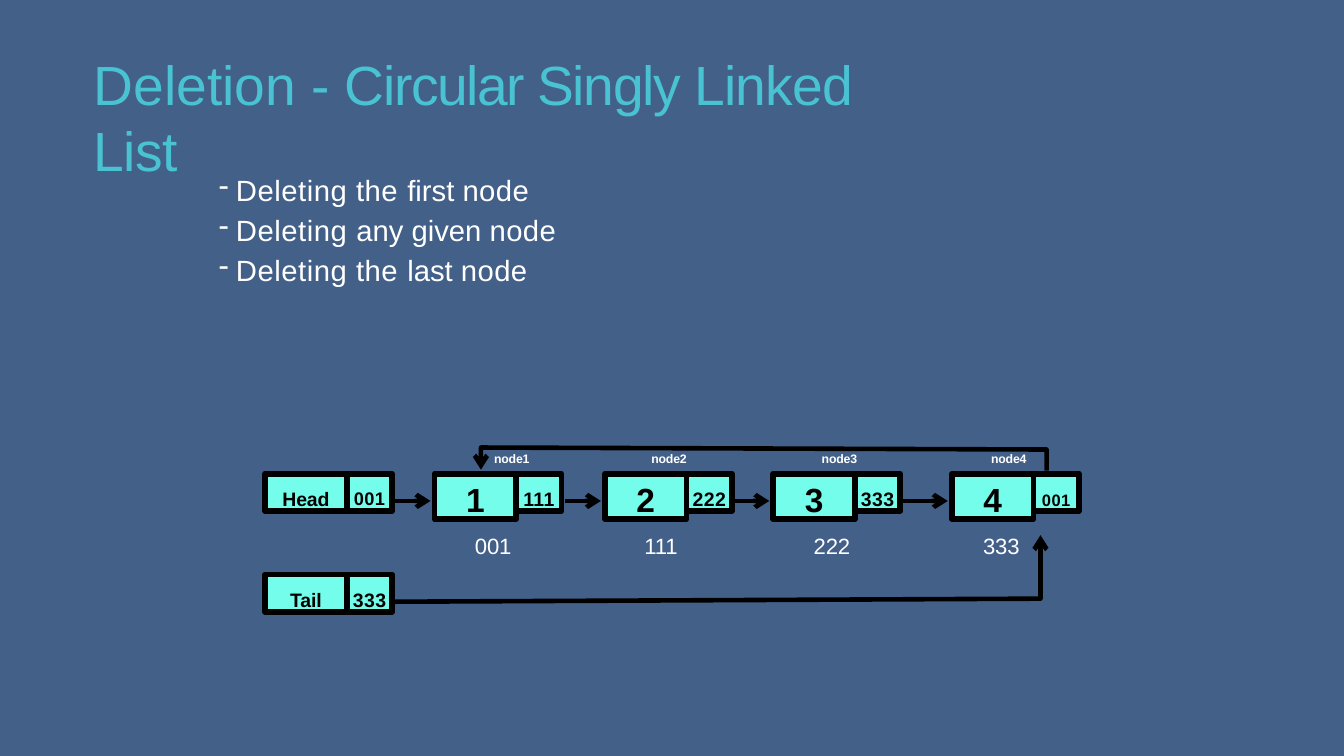
from lxml.etree import SubElement
from pptx import Presentation
from pptx.dml.color import RGBColor
from pptx.enum.shapes import MSO_CONNECTOR, MSO_SHAPE
from pptx.enum.text import MSO_ANCHOR as Anchor, MSO_AUTO_SIZE as AutoSize, PP_ALIGN as Align
from pptx.oxml.ns import qn
from pptx.util import Inches, Pt

BACKGROUND = RGBColor(0x43, 0x60, 0x89)
TITLE = RGBColor(0x49, 0xC3, 0xD2)
CELL = RGBColor(0x73, 0xFD, 0xEA)
BLACK = RGBColor(0, 0, 0)
WHITE = RGBColor(0xFF, 0xFF, 0xFF)

DATA_WIDTH, LINK_WIDTH = 0.81, 0.45
DATA_HEIGHT, LINK_HEIGHT = 0.45, 0.37
ADDRESS_LEFT, ADDRESS_STEP = 0.4, 1.68


def set_frame(frame, top):
    """Give a text frame a top inset only, with wrapped text at the top."""
    frame.margin_left = frame.margin_right = frame.margin_bottom = 0
    frame.margin_top = Inches(top)
    frame.vertical_anchor = Anchor.TOP
    frame.auto_size = AutoSize.NONE
    frame.word_wrap = True


def write(para, spans, size, color, bold=False, align=Align.LEFT):
    """Fill a paragraph with (text, letter spacing in points) spans."""
    para.alignment = align
    font = para.font
    font.name, font.size, font.bold = "Arial", Pt(size), bold
    font.color.rgb = color
    for text, spacing in spans:
        span = para.add_run()
        span.text = text
        span.font._element.set("spc", str(round(spacing * 100)))


def add_text(page, left, top, width, height, inset):
    """Add an empty text box and return its frame."""
    box = page.shapes.add_textbox(*map(Inches, (left, top, width, height)))
    set_frame(box.text_frame, inset)
    return box.text_frame


def add_cell(page, left, top, width, height, text, size, inset, spacing):
    """Add one outlined cell with bold centred text."""
    box = page.shapes.add_shape(MSO_SHAPE.RECTANGLE, *map(Inches, (left, top, width, height)))
    box.shadow.inherit = False
    box.fill.solid()
    box.fill.fore_color.rgb = CELL
    box.line.color.rgb = BLACK
    box.line.width = Pt(4.12)
    set_frame(box.text_frame, inset)
    write(box.text_frame.paragraphs[0], [(text, spacing)], size, BLACK, True, Align.CENTER)


def add_arrow(page, points):
    """Draw an arrow through the points: a connector, or a bent outline."""
    corners = [(Inches(x), Inches(y)) for x, y in points]
    if len(corners) == 2:
        arrow = page.shapes.add_connector(MSO_CONNECTOR.STRAIGHT, *corners[0], *corners[1])
    else:
        builder = page.shapes.build_freeform(*corners[0])
        builder.add_line_segments(corners[1:], close=False)
        arrow = builder.convert_to_shape()
        arrow.fill.background()
    arrow.line.color.rgb = BLACK
    arrow.line.width = Pt(3.3)
    SubElement(arrow.line._get_or_add_ln(), qn("a:tailEnd"), type="arrow")
    SubElement(arrow._element.spPr, qn("a:effectLst"))


def add_title(page, left, top, width, height):
    """Place and write the title."""
    title = page.shapes.title
    title.left, title.top, title.width, title.height = map(Inches, (left, top, width, height))
    set_frame(title.text_frame, 0.01)
    spans = [("Deletion - ", 0), ("Circular Singly ", -1), ("Linked ", -0.6), ("List", -0.3)]
    write(title.text_frame.paragraphs[0], spans, 39.4, TITLE)


def add_cases(page, left, top, width, height):
    """List the three kinds of deletion with dash bullets."""
    frame = add_text(page, left, top, width, height, 0.06)
    cases = [("Deleting the ", "first "), ("Deleting ", "any given "), ("Deleting the ", "last ")]
    for index, (start, which) in enumerate(cases):
        para = frame.paragraphs[0] if index == 0 else frame.add_paragraph()
        para.space_before = Pt(3.4)
        write(para, [(start, 0.4), (which, 0), ("node", 0.3)], 20.9, WHITE)
        properties = para._p.get_or_add_pPr()
        properties.set("marL", str(Inches(0.17)))
        properties.set("indent", str(-Inches(0.17)))
        bullet = properties.makeelement(qn("a:buChar"), char="-")
        properties.find(qn("a:defRPr")).addprevious(bullet)


def add_pointer(page, left, top, name, address, size):
    """Add a head or tail pointer with the address it holds."""
    add_cell(page, left, top, DATA_WIDTH, LINK_HEIGHT, name, 13.9, 0.13, -0.1)
    add_cell(page, left + DATA_WIDTH, top, LINK_WIDTH, LINK_HEIGHT, address, size, 0.13, 0.3)


def add_node(page, left, top, value, link, size, inset):
    """Add a list node: its value and the address of the next node."""
    add_cell(page, left, top, DATA_WIDTH, DATA_HEIGHT, value, 23.9, 0.05, 0.9)
    add_cell(page, left + DATA_WIDTH, top, LINK_WIDTH, LINK_HEIGHT, link, size, inset, 0.3)


def add_list(page, left, top):
    """Draw the circular list with its nodes, labels and arrows."""
    add_pointer(page, left, top, "Head", "001", 13)
    add_pointer(page, left, top + 1, "Tail", "333", 13.9)

    # Offset of node, offset of its name, address, link, link size, link inset
    nodes = [
        (1.68, 2.27, "001", "111", 13.9, 0.13),
        (3.37, 3.83, "111", "222", 13.9, 0.13),
        (5.04, 5.52, "222", "333", 13.9, 0.13),
        (6.81, 7.2, "333", "001", 11.8, 0.16),
    ]
    first = nodes[0][0]
    previous = 0
    for index, (offset, name_offset, address, link, size, inset) in enumerate(nodes):
        add_node(page, left + offset, top, str(index + 1), link, size, inset)
        name = add_text(page, left + name_offset, top - 0.23, 0.45, 0.16, 0.01)
        write(name.paragraphs[0], [(f"node{index + 1}", -0.1)], 8.8, WHITE, True)
        address_left = left + first + ADDRESS_LEFT + index * ADDRESS_STEP
        label = add_text(page, address_left, top + 0.57, 0.45, 0.28, 0.01)
        write(label.paragraphs[0], [(address, -0.1)], 15.8, WHITE)
        start = left + previous + DATA_WIDTH + LINK_WIDTH + 0.03
        add_arrow(page, [(start, top + 0.27), (left + offset - 0.04, top + 0.27)])
        previous = offset

    tail_end, last_link, first_node = left + 7.69, left + 7.75, left + 2.14
    add_arrow(page, [(left + 1.29, top + 1.27), (tail_end, top + 1.24), (tail_end, top + 0.61)])
    add_arrow(page, [(last_link, top - 0.03), (last_link, top - 0.24),
                     (first_node, top - 0.26), (first_node, top - 0.04)])


def add_deletion_slide(deck):
    """Build the slide on deletion from a circular singly linked list."""
    page = deck.slides.add_slide(deck.slide_layouts[5])
    page.background.fill.solid()
    page.background.fill.fore_color.rgb = BACKGROUND
    add_title(page, 0.93, 0.49, 8.4, 0.67)
    add_list(page, 2.63, 4.7)
    add_cases(page, 2.17, 1.65, 3.39, 1.2)


deck = Presentation()
deck.slide_width, deck.slide_height = Inches(13.33), Inches(7.5)
add_deletion_slide(deck)
deck.save("out.pptx")
